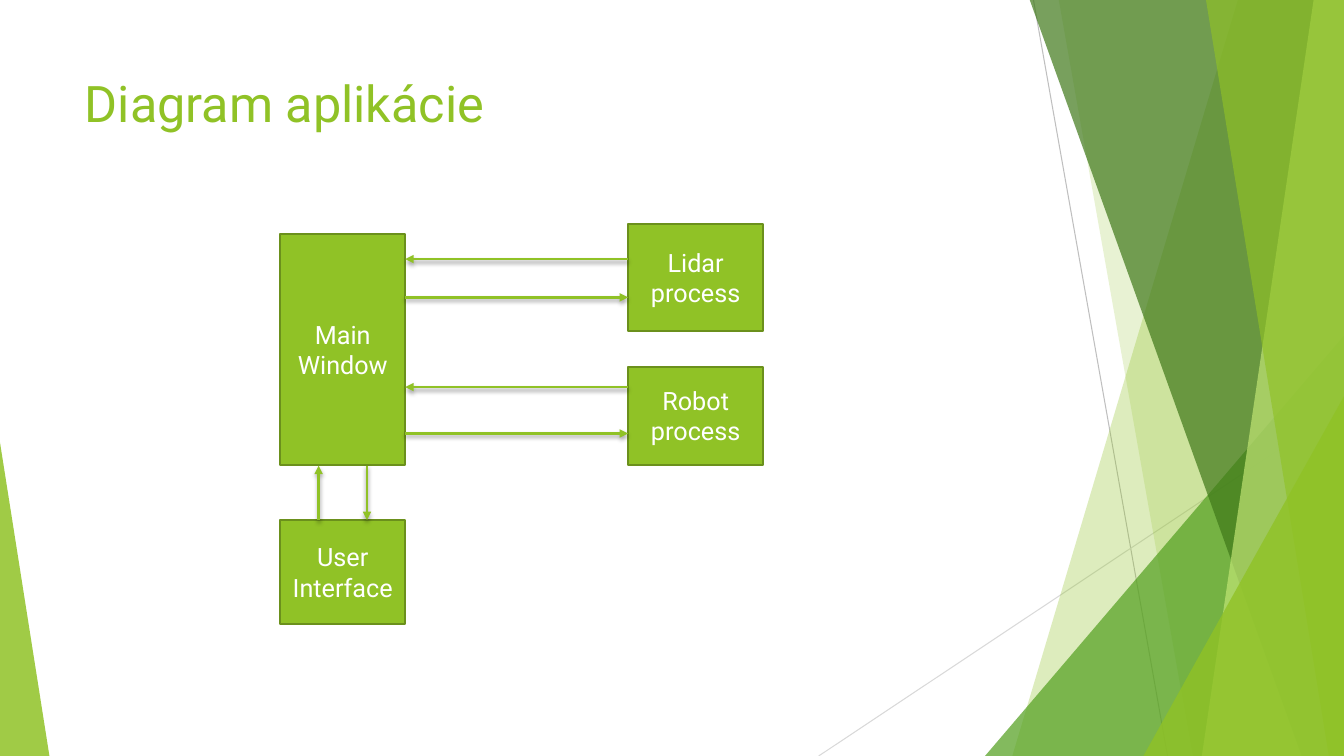
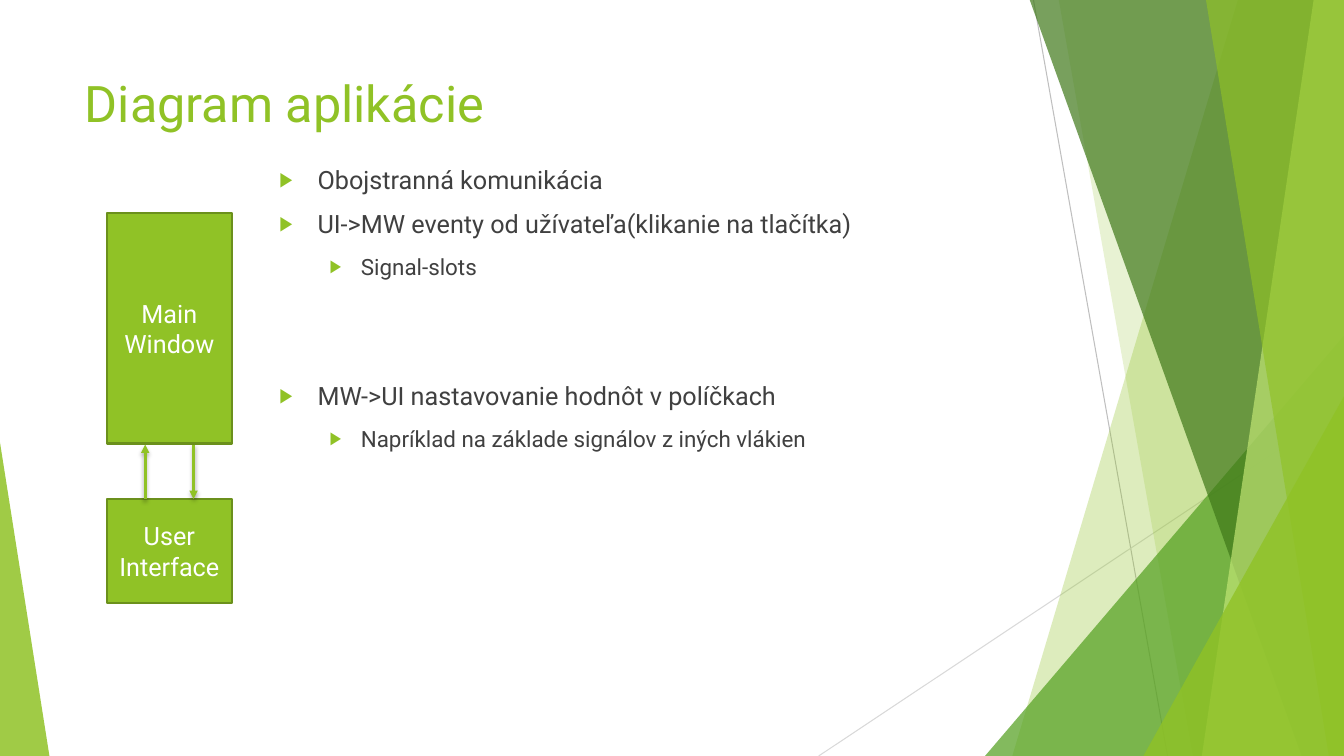
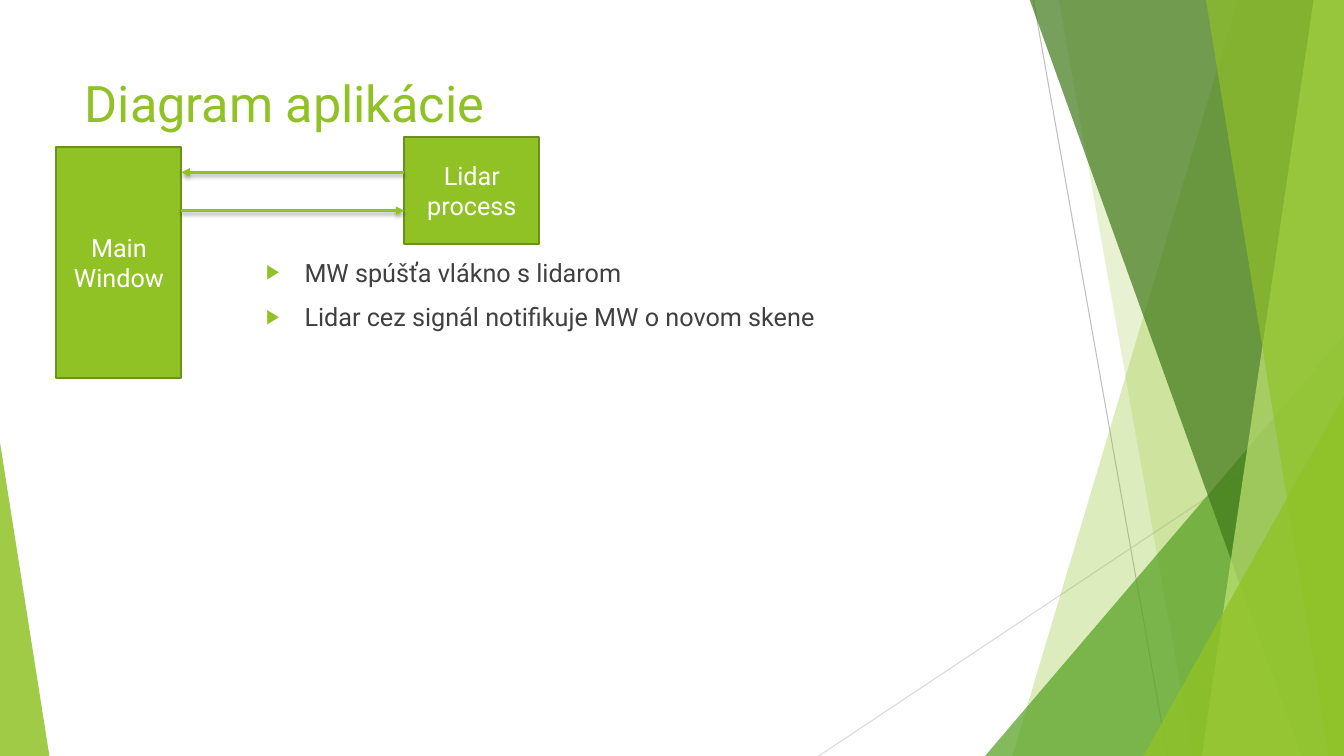
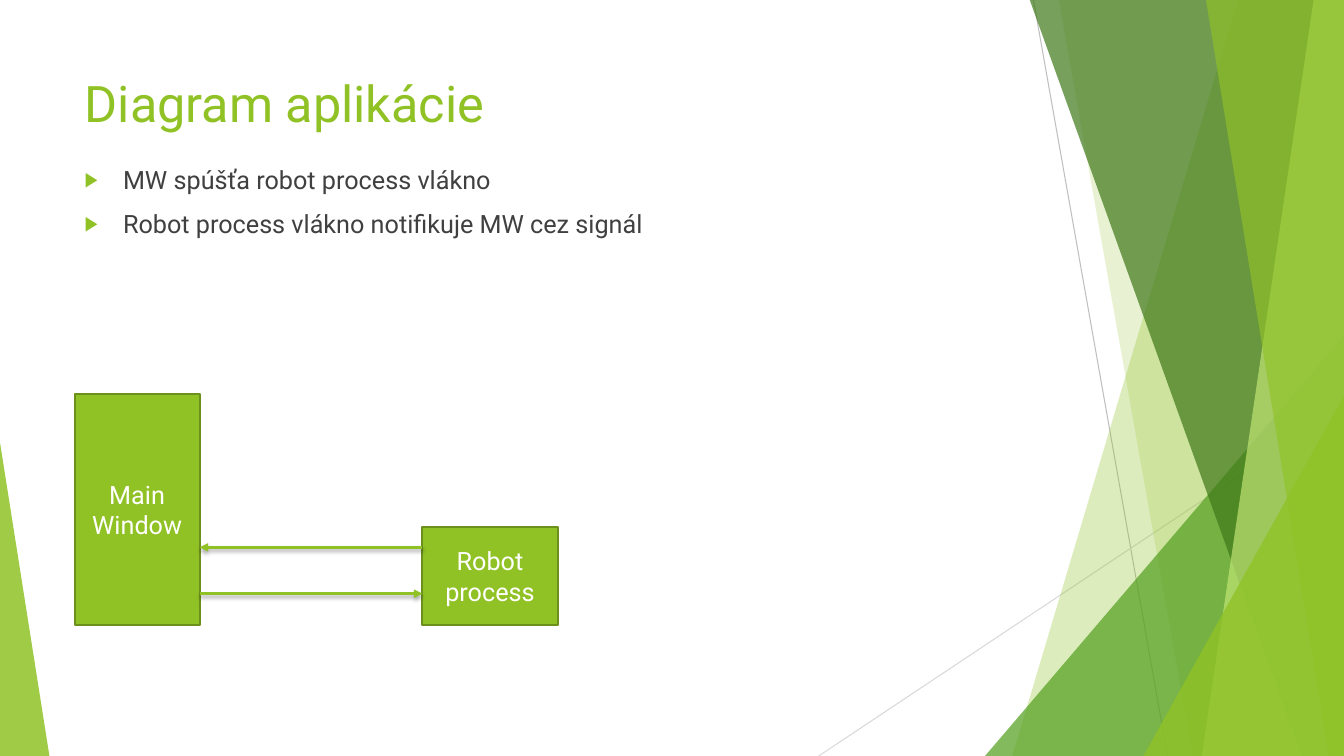
from dataclasses import dataclass

from lxml.etree import SubElement
from pptx import Presentation
from pptx.dml.color import RGBColor
from pptx.enum.shapes import MSO_CONNECTOR, MSO_SHAPE
from pptx.enum.text import MSO_ANCHOR, MSO_AUTO_SIZE, PP_ALIGN
from pptx.oxml.ns import qn
from pptx.util import Pt

PX = 9144
WIDTH, HEIGHT = 1333, 750


@dataclass(frozen=True)
class Theme:
    font: str = "Roboto"
    green: str = "90C226"
    leaf: str = "54A021"
    forest: str = "3F7819"
    lime: str = "C0E474"
    edge: str = "6B901C"
    text: str = "404040"
    white: str = "FFFFFF"
    gray: str = "BFBFBF"
    pale: str = "D9D9D9"
    title: int = 36
    body: int = 18
    sub: int = 16
    gap: int = 10
    section_gap: int = 72


THEME = Theme()
INDENTS = ((38, -38), (81, -31))
MAIN_BOX = (124, 229)
PARTNERS = {
    "ui": ("User Interface", (0, 284, 124, 103),
           (((86, 230), (86, 284)), ((38, 284), (38, 230)))),
    "lidar": ("Lidar process", (345, -10, 134, 106),
              (((345, 25), (124, 25)), ((124, 63), (345, 63)))),
    "robot": ("Robot process", (345, 132, 134, 97),
              (((124, 198), (345, 198)), ((345, 152), (124, 152)))),
}
RAYS = (
    ((1025, 0), (1158, HEIGHT), THEME.gray),
    ((WIDTH, 403), (812, HEIGHT), THEME.pale),
)
BLADES = (
    ("shard", (1228, 1004), THEME.green, 30),
    ("shard", (1050, 1183), THEME.green, 20),
    ("triangle", (977, 333, 356, 417, 1), THEME.leaf, 72),
    ("shard", (1021, 1291), THEME.forest, 70),
    ("shard", (1303, 1192), THEME.lime, 70),
    ("shard", (1196, 1318), THEME.green, 65),
    ("triangle", (1134, 393, 199, 357, 1), THEME.green, 80),
    ("triangle", (0, 439, 49, 311, 0), THEME.green, 85),
)
SLIDES = (
    ((278, 232), ("ui", "lidar", "robot"), None, ()),
    ((106, 211), ("ui",), (267, 158, 747, 503), (
        ("Obojstranná komunikácia", 0, THEME.gap),
        ("UI->MW eventy od užívateľa(klikanie na tlačítka)", 0, THEME.gap),
        ("Signal-slots", 1, THEME.gap),
        ("MW->UI nastavovanie hodnôt v políčkach", 0, THEME.section_gap),
        ("Napríklad na základe signálov z iných vlákien", 1, THEME.gap),
    )),
    ((56, 146), ("lidar",), (254, 250, 760, 411), (
        ("MW spúšťa vlákno s lidarom", 0, THEME.gap),
        ("Lidar cez signál notifikuje MW o novom skene", 0, THEME.gap),
    )),
    ((74, 391), ("robot",), (74, 158, 940, 501), (
        ("MW spúšťa robot process vlákno", 0, THEME.gap),
        ("Robot process vlákno notifikuje MW cez signál", 0, THEME.gap),
    )),
)


def emu(*lengths):
    return [n * PX for n in lengths]


def rgb(color):
    return RGBColor.from_string(color)


def style_run(p, size, color):
    for r in p.runs:
        r.font.name = THEME.font
        r.font.size = Pt(size)
        r.font.color.rgb = rgb(color)


def add_line(shapes, start, end, color, width):
    c = shapes.add_connector(MSO_CONNECTOR.STRAIGHT, *emu(*start, *end))
    c.line.color.rgb = rgb(color)
    c.line.width = Pt(width)
    effects = SubElement(c.element.spPr, qn("a:effectLst"))
    return c, effects


def add_arrow(shapes, start, end):
    c, effects = add_line(shapes, start, end, THEME.green, 2)
    SubElement(c.element.spPr.find(qn("a:ln")), qn("a:tailEnd"), type="triangle")
    shadow = SubElement(effects, qn("a:outerShdw"), blurRad="38100",
                        dist="25400", dir="5400000", rotWithShape="0")
    color = SubElement(shadow, qn("a:srgbClr"), val="000000")
    SubElement(color, qn("a:alpha"), val="35000")


def add_blade(shapes, kind, geometry, color, opacity):
    if kind == "shard":
        top, bottom = geometry
        fb = shapes.build_freeform(*emu(top, -1))
        fb.add_line_segments([emu(WIDTH, -1), emu(WIDTH, HEIGHT), emu(bottom, HEIGHT)])
        sp = fb.convert_to_shape()
    else:
        *box, apex = geometry
        sp = shapes.add_shape(MSO_SHAPE.ISOSCELES_TRIANGLE, *emu(*box))
        sp.adjustments[0] = apex
    sp.shadow.inherit = False
    sp.fill.solid()
    sp.fill.fore_color.rgb = rgb(color)
    clr = sp.element.spPr.find(qn("a:solidFill")).find(qn("a:srgbClr"))
    SubElement(clr, qn("a:alpha"), val=str(opacity * 1000))
    sp.line.fill.background()


def add_master_facets(prs, s):
    group = s.shapes.add_group_shape()
    for start, end, color in RAYS:
        add_line(group.shapes, start, end, color, 0.75)
    for blade in BLADES:
        add_blade(group.shapes, *blade)
    for i, el in enumerate(group.element.iter(qn("p:cNvPr")), 100):
        el.set("id", str(i))
    prs.slide_master.shapes.element.insert(2, group.element)


def place_text(sp, box):
    sp.left, sp.top, sp.width, sp.height = emu(*box)
    tf = sp.text_frame
    tf.word_wrap = True
    tf.auto_size = MSO_AUTO_SIZE.NONE
    tf.vertical_anchor = MSO_ANCHOR.TOP
    return tf


def add_title(s, text):
    tf = place_text(s.shapes.title, (74, 67, 940, 144))
    tf.text = text
    p = tf.paragraphs[0]
    p.alignment = PP_ALIGN.LEFT
    style_run(p, THEME.title, THEME.green)


def add_bullet(p, level):
    pPr = p._p.get_or_add_pPr()
    margin, indent = emu(*INDENTS[level])
    pPr.set("marL", str(margin))
    pPr.set("indent", str(indent))
    SubElement(SubElement(pPr, qn("a:buClr")), qn("a:srgbClr"), val=THEME.green)
    SubElement(pPr, qn("a:buSzPct"), val="80000")
    SubElement(pPr, qn("a:buFont"), typeface=THEME.font)
    SubElement(pPr, qn("a:buChar"), char="▶")


def add_list(s, box, items):
    tf = place_text(s.placeholders[1], box)
    for i, (text, level, gap) in enumerate(items):
        p = tf.add_paragraph() if i else tf.paragraphs[0]
        p.text = text
        p.level = level
        p.space_before = Pt(gap)
        add_bullet(p, level)
        style_run(p, THEME.sub if level else THEME.body, THEME.text)


def add_process(s, text, box):
    sp = s.shapes.add_shape(MSO_SHAPE.FLOWCHART_PROCESS, *emu(*box))
    sp.shadow.inherit = False
    sp.fill.solid()
    sp.fill.fore_color.rgb = rgb(THEME.green)
    sp.line.color.rgb = rgb(THEME.edge)
    sp.line.width = Pt(1.5)
    tf = sp.text_frame
    tf.word_wrap = True
    tf.vertical_anchor = MSO_ANCHOR.MIDDLE
    tf.text = text
    p = tf.paragraphs[0]
    p.alignment = PP_ALIGN.CENTER
    style_run(p, THEME.body, THEME.white)


def add_diagram(s, origin, names):
    x, y = origin
    add_process(s, "Main Window", (x, y, *MAIN_BOX))
    partners = [PARTNERS[name] for name in names]
    for text, (dx, dy, w, h), _ in partners:
        add_process(s, text, (x + dx, y + dy, w, h))
    for _, _, arrows in partners:
        for (x1, y1), (x2, y2) in arrows:
            add_arrow(s.shapes, (x + x1, y + y1), (x + x2, y + y2))


def main():
    prs = Presentation()
    prs.slide_width, prs.slide_height = emu(WIDTH, HEIGHT)
    for i, (origin, names, box, items) in enumerate(SLIDES):
        s = prs.slides.add_slide(prs.slide_layouts[1 if items else 5])
        if i == 0:
            add_master_facets(prs, s)
        add_title(s, "Diagram aplikácie")
        if items:
            add_list(s, box, items)
        add_diagram(s, origin, names)
    prs.save("out.pptx")


if __name__ == "__main__":
    main()
